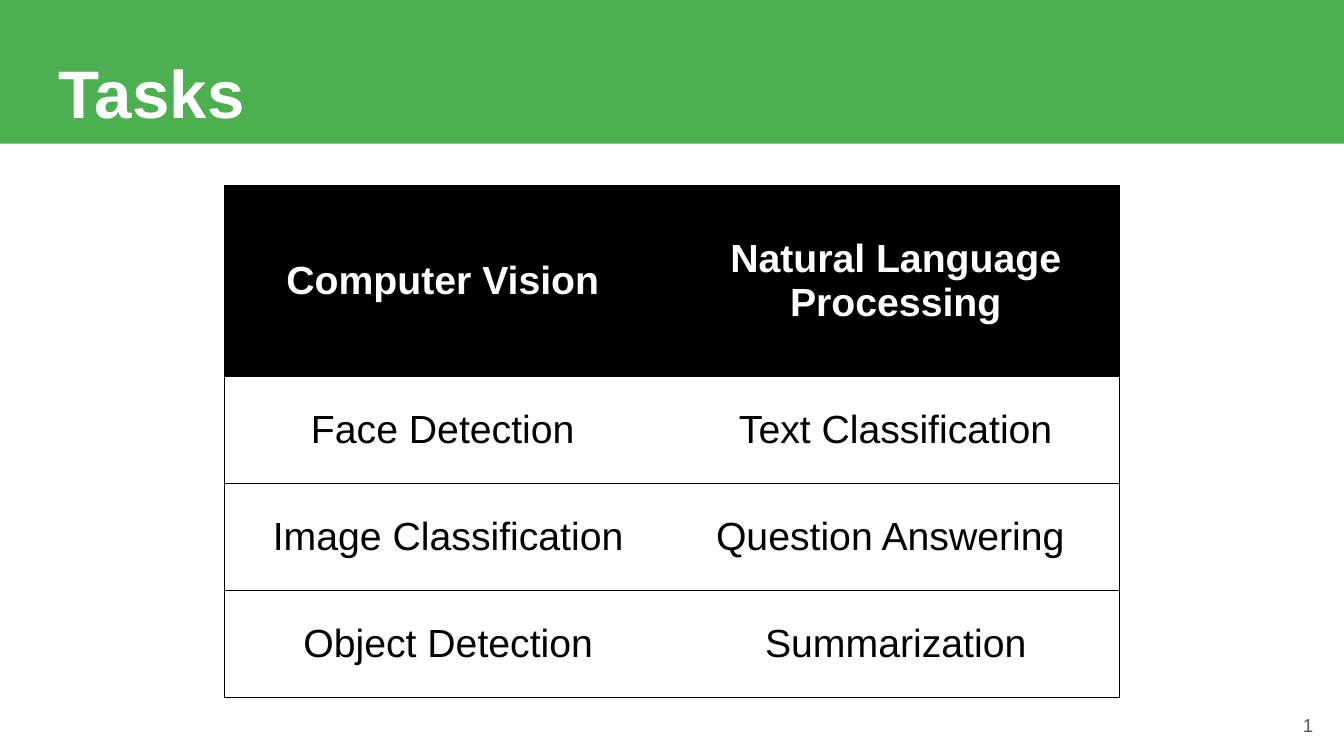
from lxml import etree
from pptx import Presentation
from pptx.dml.color import RGBColor
from pptx.enum.shapes import MSO_SHAPE
from pptx.enum.text import MSO_ANCHOR, PP_ALIGN
from pptx.oxml.ns import qn
from pptx.util import Inches, Pt

RECT = MSO_SHAPE.RECTANGLE
TOP, MIDDLE = MSO_ANCHOR.TOP, MSO_ANCHOR.MIDDLE
LEFT, CENTER, RIGHT = PP_ALIGN.LEFT, PP_ALIGN.CENTER, PP_ALIGN.RIGHT

GREEN, WHITE, BLACK, GRAY = "4CAF50", "FFFFFF", "000000", "595959"
FONT = "Arial"
WIDTH = 10
HEIGHT = WIDTH * 9 / 16
TASKS = [
    ("Computer Vision ", "Natural Language Processing"),
    ("Face Detection ", "Text Classification"),
    ("Image Classification", "Question Answering "),
    ("Object Detection", "Summarization"),
]
TABLE_H, HEAD_H, COL_W = 3.81, 1.42, 3.33
ROW_H = (TABLE_H - HEAD_H) / (len(TASKS) - 1)


def paint(fill, color):
    fill.solid()
    fill.fore_color.rgb = RGBColor.from_string(color)


def write(frame, text, size, color, bold=False, align=LEFT):
    frame.text = text
    para = frame.paragraphs[0]
    para.alignment = align
    font = para.runs[0].font
    font.name, font.size, font.bold = FONT, Pt(size), bold
    font.color.rgb = RGBColor.from_string(color)
    return para


def add_band(slide):
    band = slide.shapes.add_shape(
        RECT, Inches(-0.01), Inches(-0.04), Inches(10.01), Inches(1.11))
    band.shadow.inherit = False
    paint(band.fill, GREEN)
    band.line.fill.background()


def add_label(slide, box, text, size, color, anchor=TOP, **style):
    frame = slide.shapes.add_textbox(*map(Inches, box)).text_frame
    frame.word_wrap = True
    frame.vertical_anchor = anchor
    frame.margin_left = frame.margin_right = Inches(0.1)
    frame.margin_top = frame.margin_bottom = Inches(0.1)
    return write(frame, text, size, color, **style)


def set_edges(cell, shown):
    """Draw the sides named in shown and hide the others."""
    props = cell._tc.get_or_add_tcPr()
    for side in "LRTB":
        edge = etree.SubElement(props, qn(f"a:ln{side}"), w=str(Pt(0.75)))
        if side in shown:
            fill = etree.SubElement(edge, qn("a:solidFill"))
            etree.SubElement(fill, qn("a:srgbClr"), val=BLACK)
        else:
            etree.SubElement(edge, qn("a:noFill"))


def add_tasks(slide):
    rows, cols = len(TASKS), len(TASKS[0])
    table = slide.shapes.add_table(
        rows, cols, Inches(1.67), Inches(1.38),
        Inches(COL_W * cols), Inches(TABLE_H)).table
    table.horz_banding = False
    for col in table.columns:
        col.width = Inches(COL_W)
    for r, names in enumerate(TASKS):
        head = r == 0
        table.rows[r].height = Inches(HEAD_H if head else ROW_H)
        for c, name in enumerate(names):
            cell = table.cell(r, c)
            cell.vertical_anchor = MIDDLE
            set_edges(cell, "LTB" if c == 0 else "RTB")
            paint(cell.fill, BLACK if head else WHITE)
            write(cell.text_frame, name, 21, WHITE if head else BLACK,
                  bold=head, align=CENTER)


def main():
    deck = Presentation()
    deck.slide_width, deck.slide_height = Inches(WIDTH), Inches(HEIGHT)
    slide = deck.slides.add_slide(deck.slide_layouts[6])
    paint(slide.background.fill, WHITE)
    add_band(slide)
    title = add_label(slide, (0.34, 0.19, 9.32, 0.63), "Tasks", 36, WHITE,
                      bold=True)
    title.line_spacing = 1.15
    add_label(slide, (9.27, 5.18, 0.6, 0.43), "1", 10, GRAY,
              anchor=MIDDLE, align=RIGHT)
    add_tasks(slide)
    deck.save("out.pptx")


if __name__ == "__main__":
    main()
